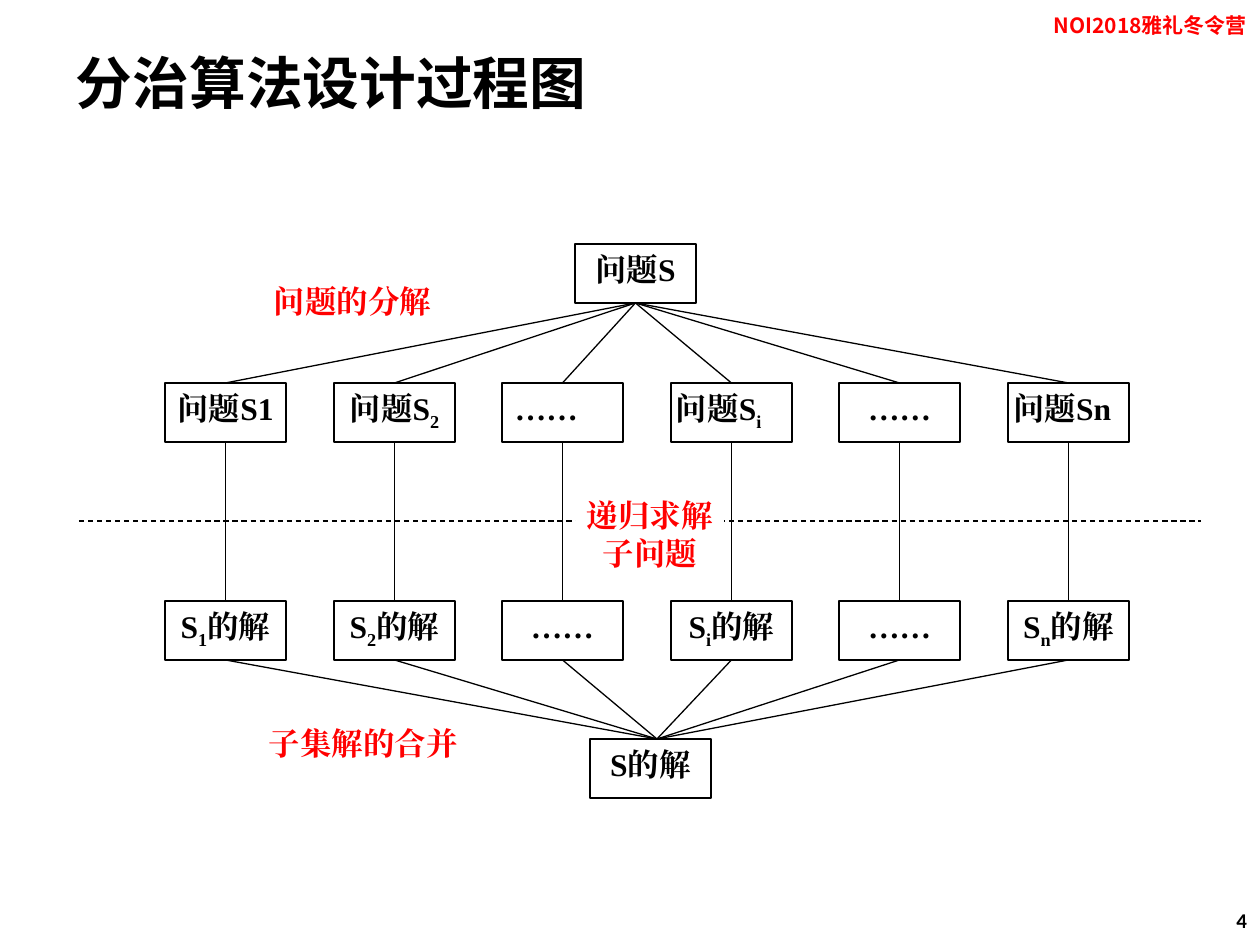
import pptx
import pptx.util
import pptx.dml.color
import pptx.enum.dml
import pptx.enum.shapes
import pptx.enum.text
from lxml import etree
from pptx.oxml.ns import qn

EMU_PER_PX = 914400 // 126
BLACK = pptx.dml.color.RGBColor(0, 0, 0)
RED = pptx.dml.color.RGBColor(255, 0, 0)
WHITE = pptx.dml.color.RGBColor(255, 255, 255)
SHAPE = pptx.enum.shapes.MSO_SHAPE
ALIGN = pptx.enum.text.PP_ALIGN
MIDDLE = pptx.enum.text.MSO_ANCHOR.MIDDLE
SERIF, SANS, CJK = "Times New Roman", "Calibri", "Noto Sans CJK SC"

# Content: each text is a tuple of runs, where every second run is a subscript
TITLE = ("分治算法设计过程图",)
WIDE, NARROW = 13, 5
PROBLEM = (("问题S",), ALIGN.CENTER, WIDE)
SOLUTION = (("S的解",), ALIGN.CENTER, NARROW)
SUBPROBLEMS = [
    (("问题S1",), ALIGN.CENTER, NARROW),
    (("问题S", "2"), ALIGN.CENTER, NARROW),
    (("……",), ALIGN.JUSTIFY, WIDE),
    (("问题S", "i"), ALIGN.JUSTIFY, NARROW),
    (("……",), ALIGN.CENTER, WIDE),
    (("问题Sn",), ALIGN.JUSTIFY, NARROW),
]
SUBSOLUTIONS = [
    (("S", "1", "的解"), ALIGN.CENTER, NARROW),
    (("S", "2", "的解"), ALIGN.CENTER, NARROW),
    (("……",), ALIGN.CENTER, WIDE),
    (("S", "i", "的解"), ALIGN.CENTER, NARROW),
    (("……",), ALIGN.CENTER, WIDE),
    (("S", "n", "的解"), ALIGN.CENTER, NARROW),
]
LABELS = [  # text, place, alignment, side inset
    (("问题的分解",), (261, 276, 193, 59), ALIGN.JUSTIFY, WIDE),
    (("子集解的合并",), (256, 718, 217, 59), ALIGN.JUSTIFY, WIDE),
    (("递归求解子问题",), (576, 490, 148, 59), ALIGN.CENTER, 0),
]
CORNERS = [  # text, place, font, colour
    (("4",), (966, 895, 294, 50), SANS, BLACK),
    (("NOI2018雅礼冬令营",), (861, 0, 399, 50), CJK, RED),
]

# Geometry in px
BOX_W, BOX_H = 121, 59
ROW_LEFT, ROW_SPAN = 165, 843
SUBPROBLEM_TOP, SUBSOLUTION_TOP = 383, 601
MERGE_POINT = (657, 739)
TOP, BOTTOM = 0, 2


def px(*lengths):
    return [pptx.util.Emu(n * EMU_PER_PX) for n in lengths]


def write(s, runs, size, font, color, align, inset=WIDE):
    tf = s.text_frame
    tf.word_wrap = True
    tf.margin_left, tf.margin_right, tf.margin_top, tf.margin_bottom = px(inset, inset, 6, 6)
    p = tf.paragraphs[0]
    p.alignment = align
    for i, text in enumerate(runs):
        r = p.add_run()
        r.text = text
        r.font.size = pptx.util.Pt(size)
        r.font.bold = True
        r.font.color.rgb = color
        r.font.name = font
        rPr = r.font._element
        etree.SubElement(rPr, qn("a:ea")).set("typeface", font)
        if i % 2:
            rPr.set("baseline", "-25000")


def add_block(kind, place):
    s = slide.shapes.add_shape(kind, *px(*place))
    s.shadow.inherit = False
    s.fill.solid()
    s.fill.fore_color.rgb = WHITE
    s.line.fill.background()
    s.text_frame.vertical_anchor = pptx.enum.text.MSO_ANCHOR.TOP
    return s


def add_box(left, top, item):
    runs, align, inset = item
    s = add_block(SHAPE.FLOWCHART_PROCESS, (left, top, BOX_W, BOX_H))
    s.line.color.rgb = BLACK
    s.line.width = pptx.util.Pt(0.75)
    write(s, runs, 18, SERIF, BLACK, align, inset)
    return s


def add_row(top, items):
    step = ROW_SPAN / (len(items) - 1)
    return [add_box(round(ROW_LEFT + i * step), top, item) for i, item in enumerate(items)]


def add_line(x1=0, y1=0, x2=0, y2=0):
    c = slide.shapes.add_connector(pptx.enum.shapes.MSO_CONNECTOR.STRAIGHT, *px(x1, y1, x2, y2))
    c.line.color.rgb = BLACK
    c.line.width = pptx.util.Pt(0.75)
    etree.SubElement(c._element.spPr, qn("a:effectLst"))
    return c


def link(upper, lower):
    c = add_line()
    c.begin_connect(upper, BOTTOM)
    c.end_connect(lower, TOP)


prs = pptx.Presentation()
prs.slide_width, prs.slide_height = px(1260, 945)
slide = prs.slides.add_slide(prs.slide_layouts[5])

# Title
title = slide.shapes.title
title.left, title.top, title.width, title.height = px(63, 38, 1134, 87)
title.text_frame.vertical_anchor = MIDDLE
write(title, TITLE, 32.4, SANS, BLACK, ALIGN.LEFT)

# Boxes
problem = add_box(575, 244, PROBLEM)
add_box(590, 739, SOLUTION)
subproblems = add_row(SUBPROBLEM_TOP, SUBPROBLEMS)
subsolutions = add_row(SUBSOLUTION_TOP, SUBSOLUTIONS)

# Divider and links; the merging lines meet right of the solution box's middle
divider = add_line(79, 521, 1201, 521)
divider.line.dash_style = pptx.enum.dml.MSO_LINE.DASH
for subproblem, subsolution in zip(subproblems, subsolutions):
    link(problem, subproblem)
    link(subproblem, subsolution)
    merge = add_line(0, 0, *MERGE_POINT)
    merge.begin_connect(subsolution, BOTTOM)

# Stage labels
for runs, place, align, inset in LABELS:
    write(add_block(SHAPE.RECTANGLE, place), runs, 18, SERIF, RED, align, inset)

# Page number and event name
for runs, place, font, color in CORNERS:
    s = slide.shapes.add_textbox(*px(*place))
    s.text_frame.vertical_anchor = MIDDLE
    write(s, runs, 12, font, color, ALIGN.RIGHT)

prs.save("out.pptx")
